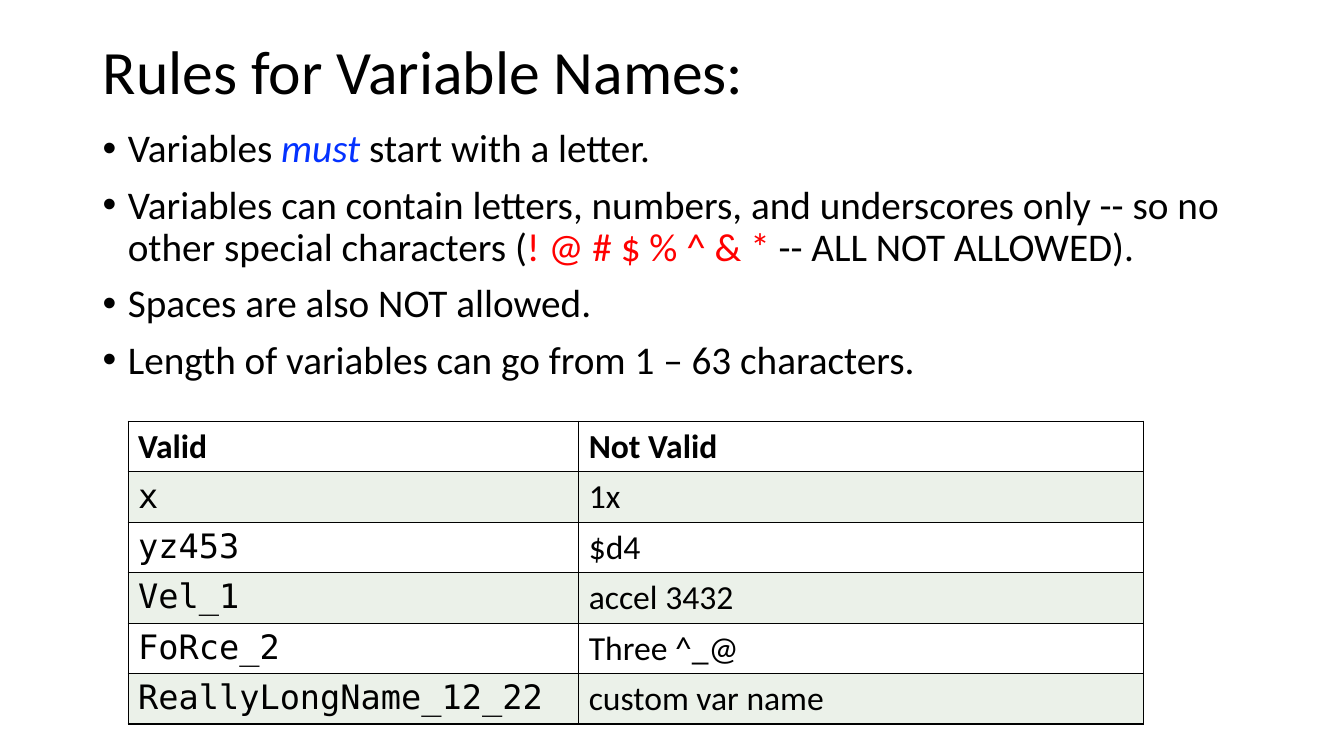
from lxml import etree
from pptx import Presentation
from pptx.dml.color import RGBColor
from pptx.enum.text import MSO_ANCHOR, MSO_AUTO_SIZE, PP_ALIGN
from pptx.oxml.ns import qn
from pptx.util import Inches, Pt

BLACK = RGBColor(0x00, 0x00, 0x00)
BLUE = RGBColor(0x04, 0x32, 0xFF)
RED = RGBColor(0xFF, 0x00, 0x00)
PALE_GREEN = RGBColor(0xEB, 0xF1, 0xE9)

LEFT = PP_ALIGN.LEFT
MIDDLE = MSO_ANCHOR.MIDDLE
NO_AUTOFIT = MSO_AUTO_SIZE.NONE

TITLE_ONLY = 5
BODY_FONT = "Calibri"
CODE_FONT = "DejaVu Sans Mono"

# Each rule is a list of (text, colour, italic) spans
RULES = [
    [("Variables ", None, False), ("must", BLUE, True),
     (" start with a letter.", None, False)],
    [("Variables can contain letters, numbers, and underscores only -- "
      "so no other special characters (", None, False),
     ("! @ # $ % ^ & *", RED, False),
     (" -- ALL NOT ALLOWED).", None, False)],
    [("Spaces are also NOT allowed.", None, False)],
    [("Length of variables can go from 1 – 63 characters.", None, False)],
]

NAMES = [
    ("Valid", "Not Valid"),
    ("x", "1x"),
    ("yz453", "$d4"),
    ("Vel_1", "accel 3432"),
    ("FoRce_2", "Three ^_@"),
    ("ReallyLongName_12_22", "custom var name"),
]


class SlideBuilder:
    """Places styled elements on a grid of 100 columns by 100 rows."""

    def __init__(self, deck):
        self.page = deck.slides.add_slide(deck.slide_layouts[TITLE_ONLY])
        self.column = deck.slide_width / 100
        self.row = deck.slide_height / 100

    def area(self, left, top, width, height):
        return (round(left * self.column), round(top * self.row),
                round(width * self.column), round(height * self.row))

    def style(self, para, size, font=BODY_FONT, bold=False):
        para.alignment = LEFT
        para.font.name = font
        para.font.size = Pt(size)
        para.font.bold = bold
        para.font.color.rgb = BLACK

    def title(self, text, *place):
        box = self.page.shapes.title
        box.left, box.top, box.width, box.height = self.area(*place)
        frame = box.text_frame
        frame.text = text
        frame.auto_size = NO_AUTOFIT
        frame.vertical_anchor = MIDDLE
        para = frame.paragraphs[0]
        para.line_spacing = 0.9
        self.style(para, 44)

    def bullets(self, items, *place):
        frame = self.page.shapes.add_textbox(*self.area(*place)).text_frame
        frame.word_wrap = True
        for index, spans in enumerate(items):
            para = frame.add_paragraph() if index else frame.paragraphs[0]
            para.line_spacing = 0.9
            if index:
                para.space_before = Pt(10)
            self.add_bullet(para)
            self.style(para, 28)
            for text, color, italic in spans:
                span = para.add_run()
                span.text = text
                if color is not None:
                    span.font.color.rgb = color
                if italic:
                    span.font.italic = True

    def add_bullet(self, para):
        properties = para._p.get_or_add_pPr()
        properties.set("marL", str(Inches(0.25)))
        properties.set("indent", str(Inches(-0.25)))
        etree.SubElement(properties, qn("a:buFont"), typeface="Arial")
        etree.SubElement(properties, qn("a:buChar"), char="•")

    def table(self, rows, widths, left, top, height):
        place = self.area(left, top, sum(widths), height)
        table = self.page.shapes.add_table(len(rows), len(widths), *place).table
        for column, width in zip(table.columns, widths):
            column.width = round(width * self.column)
        for row_index, texts in enumerate(rows):
            for column_index, text in enumerate(texts):
                cell = table.cell(row_index, column_index)
                cell.text = text
                header = row_index == 0
                code = column_index == 0 and not header
                self.style(cell.text_frame.paragraphs[0], 24,
                           CODE_FONT if code else BODY_FONT, header)
                if row_index % 2:
                    cell.fill.solid()
                    cell.fill.fore_color.rgb = PALE_GREEN
                else:
                    cell.fill.background()
                self.add_borders(cell)

    def add_borders(self, cell):
        properties = cell._tc.get_or_add_tcPr()
        for index, side in enumerate(("a:lnL", "a:lnR", "a:lnT", "a:lnB")):
            line = etree.Element(qn(side), w=str(Pt(1)))
            fill = etree.SubElement(line, qn("a:solidFill"))
            etree.SubElement(fill, qn("a:srgbClr"), val=str(BLACK))
            properties.insert(index, line)


def main():
    deck = Presentation()
    deck.slide_width, deck.slide_height = Inches(13.33), Inches(7.5)
    slide = SlideBuilder(deck)

    # Heading and naming rules
    slide.title("Rules for Variable Names:", 6.9, 0.13, 86.27, 19.33)
    slide.bullets(RULES, 6.9, 16.4, 86.27, 39.33)

    # Examples of valid and invalid names
    slide.table(NAMES, (33.53, 42.01), 9.53, 55.73, 40)

    deck.save("out.pptx")


if __name__ == "__main__":
    main()
